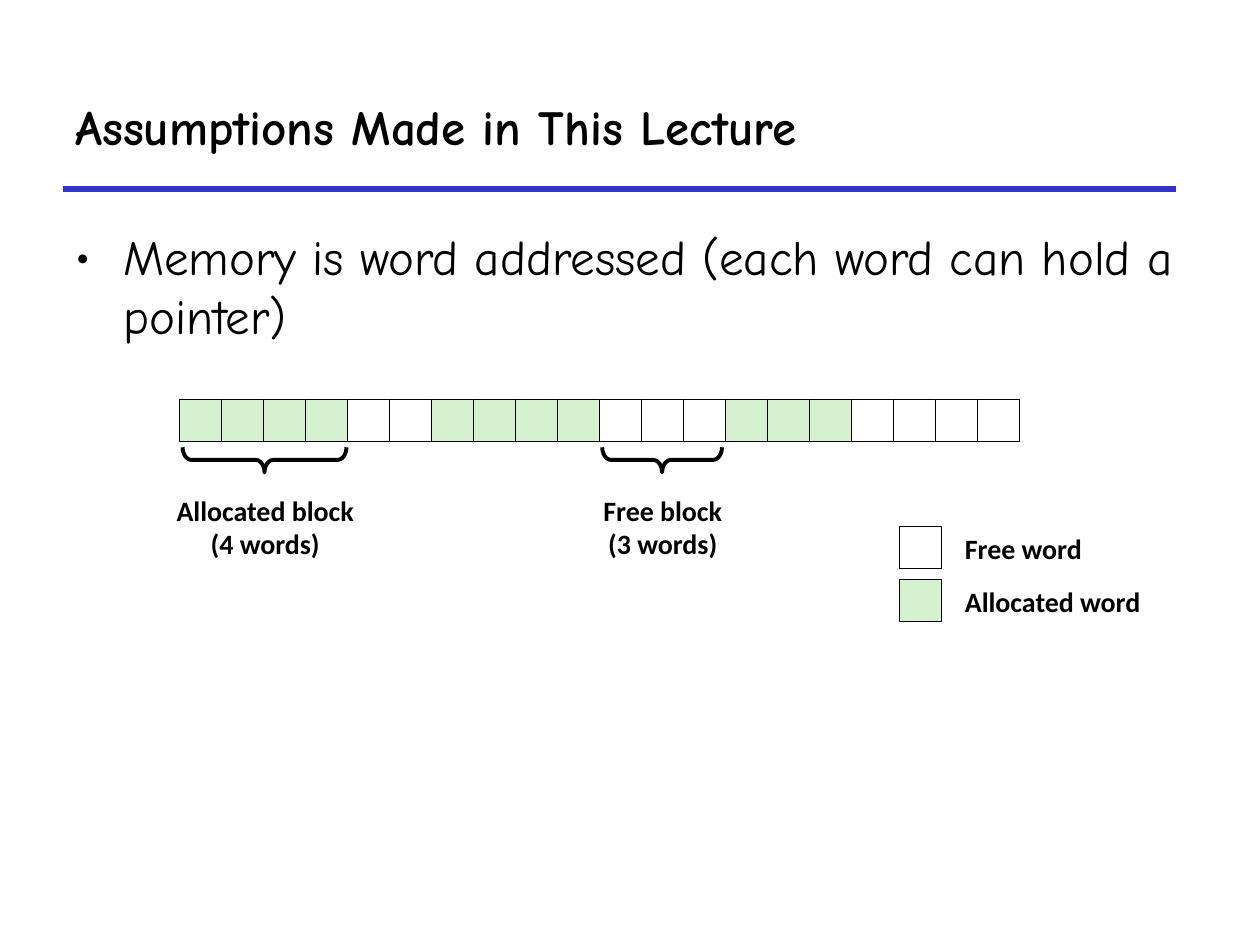
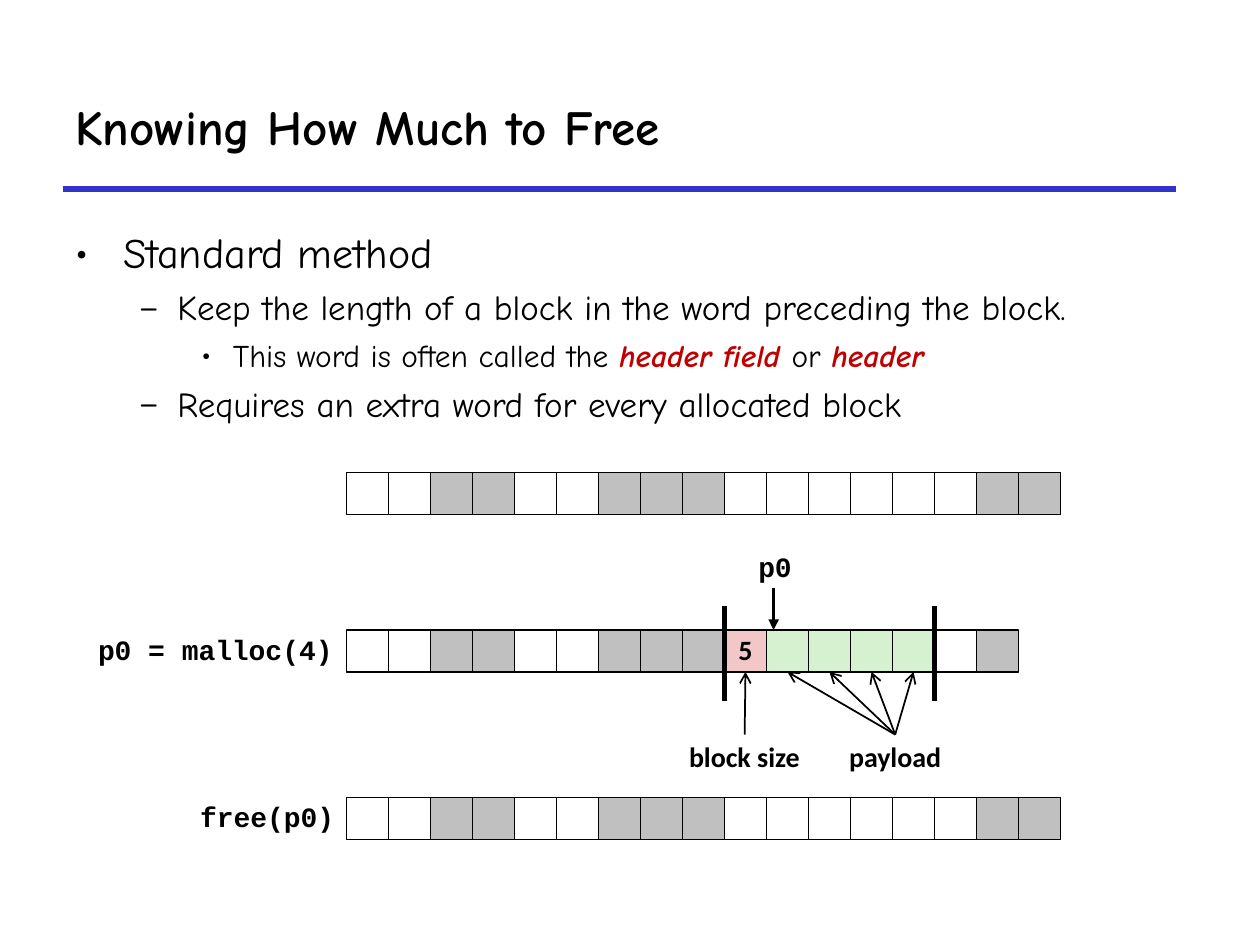
import pptx
import pptx.dml.color
import pptx.enum.shapes
import pptx.enum.text
import pptx.oxml
import pptx.util
from lxml import etree
from pptx.oxml.ns import qn

Inches = pptx.util.Inches
SHAPE = pptx.enum.shapes.MSO_SHAPE
ALIGN = pptx.enum.text.PP_ALIGN
ANCHOR = pptx.enum.text.MSO_ANCHOR

HAND, SANS, MONO = "Comic Neue", "Calibri", "Courier New"
BLACK, WHITE, RULE_BLUE, RED = "000000", "FFFFFF", "3333CC", "C00000"
GREEN, GRAY, PINK = "D5F1CF", "C0C0C0", "F1C7C7"

CELL = 1 / 3
WORD_FILLS = {"f": WHITE, "a": GREEN, "g": GRAY, "h": PINK}

# Per outline level: bullet, left margin, hanging indent, space before
LEVELS = [("•", 0.38, 0.38, 6), ("–", 0.81, 0.31, 5), ("•", 1.25, 0.25, 4.5)]


def rgb(color):
    return pptx.dml.color.RGBColor.from_string(color)


def box(left, top, width, height):
    return [Inches(v) for v in (left, top, width, height)]


def add_run(p, text, size=16, font=SANS, color=BLACK, bold=False, italic=False):
    r = p.add_run()
    r.text = text
    r.font.size = pptx.util.Pt(size)
    r.font.name = font
    r.font.color.rgb = rgb(color)
    r.font.bold = bold
    r.font.italic = italic


def fill_label(tf, text, align=ALIGN.LEFT, spacing=0.98, **fmt):
    """Write bold, unwrapped text, one paragraph for each line."""
    tf.word_wrap = False
    for i, line in enumerate(text.split("\n")):
        p = tf.add_paragraph() if i else tf.paragraphs[0]
        p.alignment = align
        p.line_spacing = spacing
        add_run(p, line, bold=True, **fmt)


def add_label(s, text, left, top, width, height=0.36, **fmt):
    sp = s.shapes.add_textbox(*box(left, top, width, height))
    sp.text_frame.auto_size = pptx.enum.text.MSO_AUTO_SIZE.SHAPE_TO_FIT_TEXT
    fill_label(sp.text_frame, text, **fmt)
    return sp


def add_code(s, text, left, top, width):
    return add_label(s, text, left, top, width, 0.35, spacing=0.94, font=MONO)


def add_line(s, start, end, width, color=BLACK, head=None, begin=None, finish=None):
    """Draw a line; begin and finish are (shape, side) pairs to join."""
    points = [Inches(v) for v in (*start, *end)]
    cx = s.shapes.add_connector(pptx.enum.shapes.MSO_CONNECTOR.STRAIGHT, *points)
    if begin:
        cx.begin_connect(*begin)
    if finish:
        cx.end_connect(*finish)
    cx.line.width = pptx.util.Pt(width)
    cx.line.color.rgb = rgb(color)
    if head:
        etree.SubElement(cx.line._get_or_add_ln(), qn("a:tailEnd"), type=head)
    etree.SubElement(cx._element.spPr, qn("a:effectLst"))
    return cx


def add_word(s, left, top, fill, line_width):
    sp = s.shapes.add_shape(SHAPE.RECTANGLE, *box(left, top, CELL, CELL))
    sp.shadow.inherit = False
    sp.fill.solid()
    sp.fill.fore_color.rgb = rgb(fill)
    sp.line.color.rgb = rgb(BLACK)
    sp.line.width = pptx.util.Pt(line_width)
    return sp


def add_memory(s, left, top, words, line_width):
    """Draw a row of words, one for each letter of WORD_FILLS."""
    return [add_word(s, left + i * CELL, top, WORD_FILLS[w], line_width)
            for i, w in enumerate(words)]


def add_brace(s, left, top, length, depth=0.2):
    """Draw a brace that points down."""
    center_x, center_y = left + length / 2, top + depth / 2
    sp = s.shapes.add_shape(SHAPE.LEFT_BRACE, *box(
        center_x - depth / 2, center_y - length / 2, depth, length))
    sp.rotation = 270
    sp.adjustments[0] = 0.35
    sp.shadow.inherit = False
    sp.fill.background()
    sp.line.color.rgb = rgb(BLACK)
    sp.line.width = pptx.util.Pt(2.25)


def add_bullets(s, items):
    """Write the outline; each item is (level, size, [(text, format), ...])."""
    tf = s.shapes.add_textbox(*box(0.5, 1.75, 9.08, 4.83)).text_frame
    tf.word_wrap = True
    for i, (level, size, runs) in enumerate(items):
        p = tf.add_paragraph() if i else tf.paragraphs[0]
        bullet, margin, hang, before = LEVELS[level]
        pPr = p._p.get_or_add_pPr()
        pPr.set("marL", str(Inches(margin)))
        pPr.set("indent", str(-Inches(hang)))
        etree.SubElement(pPr, qn("a:buFont"), typeface=HAND)
        etree.SubElement(pPr, qn("a:buChar"), char=bullet)
        p.level = level
        if i:
            p.space_before = pptx.util.Pt(before)
        for text, fmt in runs:
            add_run(p, text, size=size, font=HAND, **fmt)


def new_slide(prs, title):
    s = prs.slides.add_slide(prs.slide_layouts[6])
    add_line(s, (0.5, 1.5), (9.33, 1.5), 3, RULE_BLUE)
    tf = s.shapes.add_textbox(*box(0.5, 0.5, 8.83, 1)).text_frame
    tf.word_wrap = True
    tf.vertical_anchor = ANCHOR.MIDDLE
    add_run(tf.paragraphs[0], title, size=28, font=HAND, bold=True)
    return s


def assumptions_slide(prs):
    s = new_slide(prs, "Assumptions Made in This Lecture")
    add_bullets(s, [
        (0, 28, [("Memory is word addressed (each word can hold a pointer)", {})]),
    ])
    add_memory(s, 1.42, 3.17, "aaaaffaaaafffaaaffff", 0.25)
    add_brace(s, 1.45, 3.55, 1.3)
    add_brace(s, 4.78, 3.55, 0.95)
    add_label(s, "Allocated block\n(4 words)", 1.3, 3.88, 1.61, 0.62, align=ALIGN.CENTER)
    add_label(s, "Free block\n(3 words)", 4.69, 3.88, 1.14, 0.62, align=ALIGN.CENTER)
    for top, fill, text, width in [(4.18, WHITE, "Free word", 1.13),
                                   (4.6, GREEN, "Allocated word", 1.6)]:
        add_word(s, 7.14, top, fill, 0.25)
        add_label(s, text, 7.56, top, width)


def header_slide(prs):
    s = new_slide(prs, "Knowing How Much to Free")
    term = dict(color=RED, bold=True, italic=True)
    add_bullets(s, [
        (0, 24, [("Standard method", {})]),
        (1, 20, [("Keep the length of a block in the word preceding the block.", {})]),
        (2, 18, [("This word is often called the ", {}), ("header field ", term),
                 ("or ", {}), ("header", term)]),
        (1, 20, [("Requires an extra word for every allocated block", {})]),
    ])

    row_left, before_malloc = 2.75, "ffggffgggffffffgg"
    add_memory(s, row_left, 3.75, before_malloc, 1)
    words = add_memory(s, row_left, 5, "ffggffggghaaaafg", 1)
    add_memory(s, row_left, 6.33, before_malloc, 1)
    add_code(s, "p0 = malloc(4)", 0.68, 4.99, 2.1)
    add_code(s, "free(p0)", 1.49, 6.32, 1.3)

    header, payload = words[9], words[10:14]
    header.text_frame.vertical_anchor = ANCHOR.MIDDLE
    fill_label(header.text_frame, "5", align=ALIGN.CENTER)
    for i in (9, 14):
        x = row_left + i * CELL
        add_line(s, (x, 4.81), (x, 5.56), 3)

    add_code(s, "p0", 5.92, 4.33, 0.5)
    add_line(s, (6.14, 4.67), (6.14, 5), 2, head="triangle")
    size_label = add_label(s, "block size", 5.37, 5.83, 1.08)
    payload_label = add_label(s, "payload", 6.64, 5.83, 0.93)
    for label, targets in [(size_label, [header]), (payload_label, payload)]:
        for word in targets:
            add_line(s, (0, 0), (1, 1), 1, head="arrow",
                     begin=(label, 0), finish=(word, 2))


def main():
    prs = pptx.Presentation()
    prs.slide_width, prs.slide_height = Inches(10), Inches(7.5)
    assumptions_slide(prs)
    header_slide(prs)
    prs.save("out.pptx")


if __name__ == "__main__":
    main()
